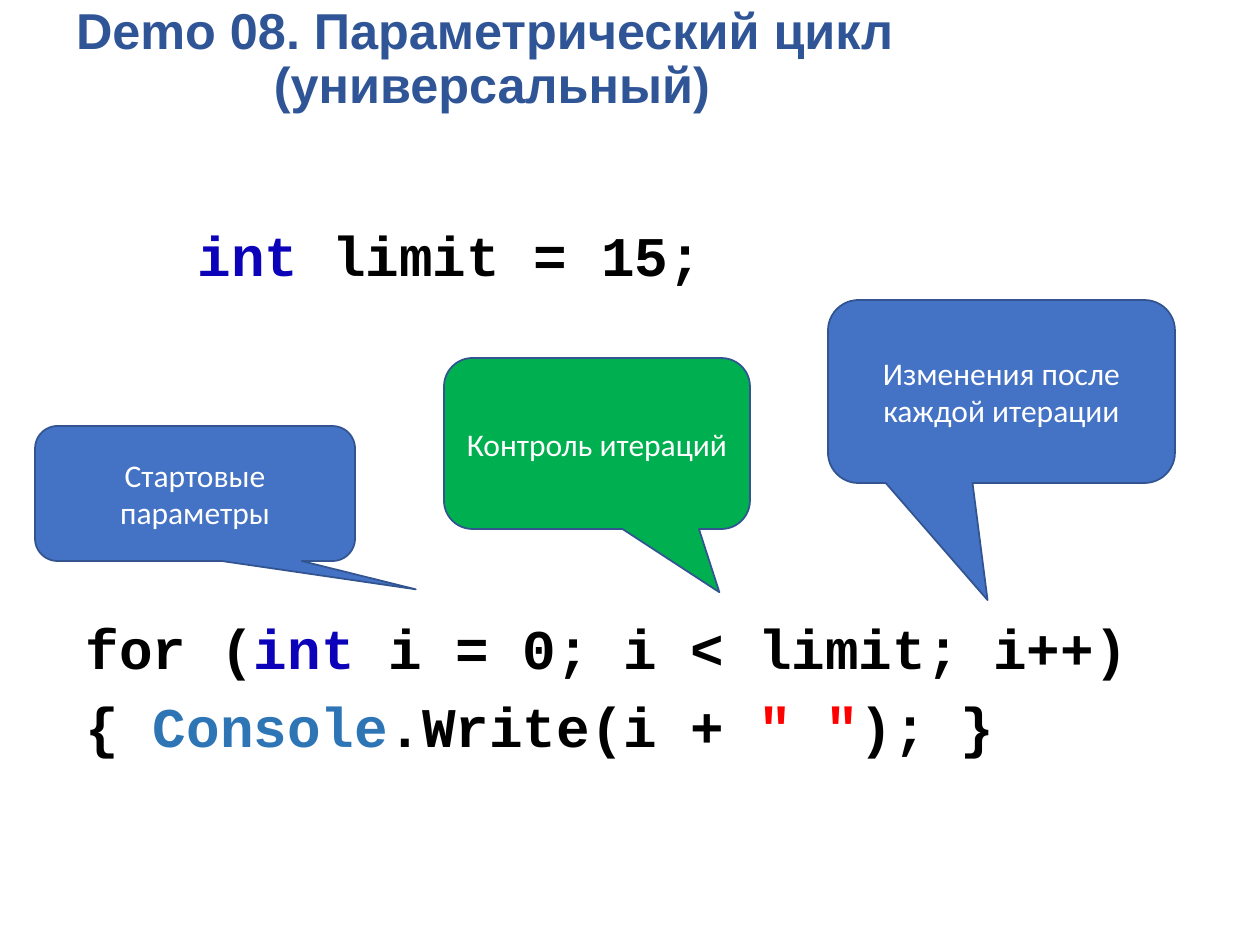
import pptx
import pptx.util
import pptx.dml.color
import pptx.enum.shapes
import pptx.enum.text

RGBColor = pptx.dml.color.RGBColor
TITLE_BLUE = RGBColor(0x2F, 0x55, 0x97)
KEYWORD = RGBColor(0x0B, 0x02, 0xBA)
CLASS_NAME = RGBColor(0x2E, 0x75, 0xB6)
STRING = RGBColor(0xFF, 0x00, 0x00)
BLACK = RGBColor(0x00, 0x00, 0x00)
WHITE = RGBColor(0xFF, 0xFF, 0xFF)
BLUE = RGBColor(0x44, 0x72, 0xC4)
GREEN = RGBColor(0x00, 0xB0, 0x50)
OUTLINE = RGBColor(0x32, 0x54, 0x91)

Pt = pptx.util.Pt
PP_ALIGN = pptx.enum.text.PP_ALIGN
ANCHOR = pptx.enum.text.MSO_ANCHOR


def px(length):
    """Turn pixels, 126 to the inch, into EMU."""
    return pptx.util.Emu(round(length * 914400 / 126))


def format_font(font, color, **values):
    for name, value in values.items():
        setattr(font, name, value)
    font.color.rgb = color


presentation = pptx.Presentation()
presentation.slide_width = px(1260)
presentation.slide_height = px(945)
slide = presentation.slides.add_slide(presentation.slide_layouts[0])
title, code = slide.placeholders

for placeholder, box in ((title, (60, 44, 864, 77)), (code, (60, 137, 1178, 741))):
    placeholder.left, placeholder.top, placeholder.width, placeholder.height = map(px, box)
    placeholder.text_frame.auto_size = pptx.enum.text.MSO_AUTO_SIZE.NONE
    placeholder.text_frame.word_wrap = True

title.text_frame.vertical_anchor = ANCHOR.BOTTOM
title.text_frame.text = "Demo 08. Параметрический цикл \v(универсальный)"
paragraph = title.text_frame.paragraphs[0]
paragraph.alignment = PP_ALIGN.CENTER
paragraph.line_spacing = 0.9
for run in paragraph.runs:
    format_font(run.font, TITLE_BLUE, name="Arial", size=Pt(28.8), bold=True)

# Indent in px, space before in points, coloured runs
code_lines = [
    (125, 0, [("int", KEYWORD), (" limit = 15;", BLACK)]),
    (13, 190, [("for (", BLACK), ("int ", KEYWORD), ("i = 0; i < limit; i++)", BLACK)]),
    (13, 10, [("{ ", BLACK), ("Console", CLASS_NAME), (".Write(i + ", BLACK),
              ('" "', STRING), ("); }", BLACK)]),
]
frame = code.text_frame
frame.vertical_anchor = ANCHOR.TOP
frame.margin_top = px(91)
for index, (indent, space_before, runs) in enumerate(code_lines):
    paragraph = frame.add_paragraph() if index else frame.paragraphs[0]
    paragraph.alignment = PP_ALIGN.LEFT
    paragraph.line_spacing = 0.9
    paragraph.space_before = Pt(space_before)
    properties = paragraph._p.get_or_add_pPr()
    properties.set("marL", str(px(indent)))
    properties.set("indent", "0")
    for text, color in runs:
        run = paragraph.add_run()
        run.text = text
        format_font(run.font, color, name="Courier New", size=Pt(32), bold=True)

# Text, box in px, fill, pointer tip relative to the box centre
callouts = [
    ("Стартовые параметры", (35, 426, 320, 135), BLUE, (0.69, 0.71)),
    ("Контроль итераций", (444, 358, 306, 171), GREEN, (0.4, 0.87)),
    ("Изменения после каждой итерации", (828, 300, 347, 183), BLUE, (-0.04, 1.14)),
]
for text, box, fill, tip in callouts:
    callout = slide.shapes.add_shape(
        pptx.enum.shapes.MSO_SHAPE.ROUNDED_RECTANGULAR_CALLOUT, *map(px, box))
    callout.adjustments[0], callout.adjustments[1] = tip
    callout.shadow.inherit = False
    callout.fill.solid()
    callout.fill.fore_color.rgb = fill
    callout.line.color.rgb = OUTLINE
    callout.line.width = Pt(1)
    frame = callout.text_frame
    frame.word_wrap = True
    frame.vertical_anchor = ANCHOR.MIDDLE
    frame.text = text
    paragraph = frame.paragraphs[0]
    paragraph.alignment = PP_ALIGN.CENTER
    format_font(paragraph.runs[0].font, WHITE, name="Calibri", size=Pt(18))

presentation.save("out.pptx")
